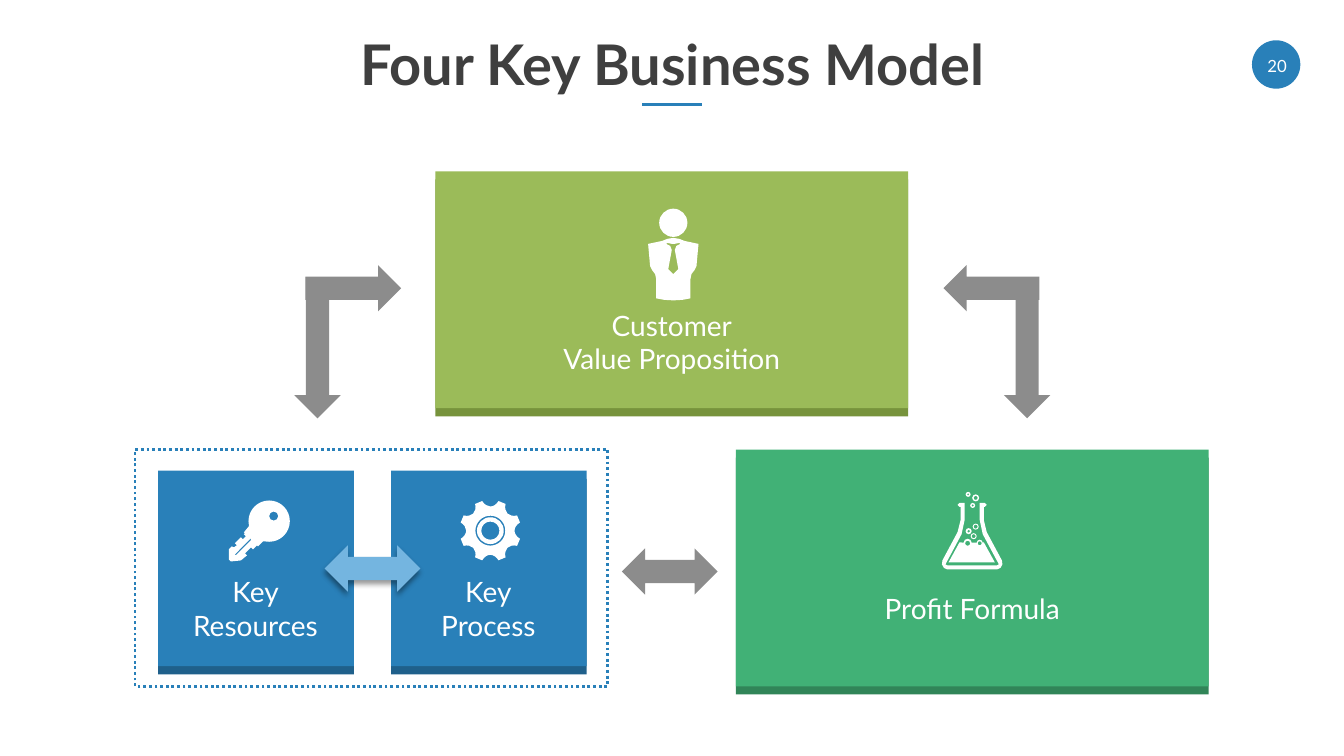
import math

import pptx
import pptx.dml.color
import pptx.enum.dml
import pptx.enum.shapes
import pptx.enum.text
import pptx.oxml.ns
import pptx.util
from lxml import etree

SHAPE = pptx.enum.shapes.MSO_SHAPE
qn = pptx.oxml.ns.qn

BLUE, GREY, WHITE = "2980B9", "8C8C8C", "FFFFFF"
FONT = "Lato"


def colour(hex_code):
    return pptx.dml.color.RGBColor.from_string(hex_code)


def cells(count):
    """Length of a number of grid columns or rows, ten to the inch."""
    return pptx.util.Inches(count / 10)


def polar(cx, cy, radius, degrees):
    angle = math.radians(degrees)
    return cx + radius * math.cos(angle), cy + radius * math.sin(angle)


def arc(cx, cy, radius, start=0, quarters=4):
    """A start point, then one curve (two controls and an end) per quarter turn."""
    turn = math.copysign(90, quarters)
    reach, lean = math.hypot(1, 0.5523) * radius, math.copysign(28.91, quarters)
    outline = [polar(cx, cy, radius, start)]
    for quarter in range(abs(quarters)):
        first = start + turn * quarter
        last = first + turn
        outline.append(polar(cx, cy, reach, first + lean) + polar(cx, cy, reach, last - lean)
                       + polar(cx, cy, radius, last))
    return outline


def mirrored(half, axis):
    """Left half of an outline, completed by its reflection."""
    return half + [(2 * axis - x, y) for x, y in reversed(half)]


class Slide:
    def __init__(self, deck):
        self.slide = deck.slides.add_slide(deck.slide_layouts[6])
        self.shapes = self.slide.shapes

    def paint(self, shape, fill):
        shape.shadow.inherit = False
        shape.fill.solid()
        shape.fill.fore_color.rgb = colour(fill)
        shape.line.fill.background()
        return shape

    def block(self, kind, x, y, w, h, fill):
        shape = self.shapes.add_shape(kind, cells(x), cells(y), cells(w), cells(h))
        return self.paint(shape, fill)

    def card(self, x, y, w, h, fill, lip):
        """Box with a darker lip showing below it."""
        self.block(SHAPE.RECTANGLE, x, y + 0.8, w, h, lip)
        self.block(SHAPE.RECTANGLE, x, y, w, h, fill)

    def dotted_frame(self, x, y, w, h):
        frame = self.block(SHAPE.RECTANGLE, x, y, w, h, WHITE)
        frame.fill.background()
        frame.line.color.rgb = colour(BLUE)
        frame.line.width = pptx.util.Pt(2)
        frame.line.dash_style = pptx.enum.dml.MSO_LINE.ROUND_DOT

    def rule(self, x1, x2, y):
        line = self.shapes.add_connector(
            pptx.enum.shapes.MSO_CONNECTOR.STRAIGHT, cells(x1), cells(y), cells(x2), cells(y))
        line.line.color.rgb = colour(BLUE)
        line.line.width = pptx.util.Pt(2)
        etree.SubElement(line._element.spPr, qn("a:effectLst"))

    def drop_shadow(self, shape):
        effects = shape._element.spPr.find(qn("a:effectLst"))
        shadow = etree.SubElement(
            effects, qn("a:outerShdw"), blurRad=str(pptx.util.Pt(4)),
            dist=str(pptx.util.Pt(3)), dir="5400000", rotWithShape="0")
        black = etree.SubElement(shadow, qn("a:srgbClr"), val="000000")
        etree.SubElement(black, qn("a:alpha"), val="40000")

    def text(self, x, y, w, h, lines, size=20, ink=WHITE, bold=False, spacing=None, middle=False):
        frame = self.shapes.add_textbox(cells(x), cells(y), cells(w), cells(h)).text_frame
        frame.word_wrap = True
        if middle:
            frame.vertical_anchor = pptx.enum.text.MSO_ANCHOR.MIDDLE
        frame.text = "\n".join(lines)
        for paragraph in frame.paragraphs:
            paragraph.alignment = pptx.enum.text.PP_ALIGN.CENTER
            paragraph.line_spacing = spacing
            paragraph.font.name = FONT
            paragraph.font.size = pptx.util.Pt(size)
            paragraph.font.bold = bold
            paragraph.font.color.rgb = colour(ink)

    def icon(self, x, y, outlines):
        """White drawing; outlines inside another one cut holes."""
        placed = [[[(v + (y if i % 2 else x)) * 100 for i, v in enumerate(step)]
                   for step in outline] for outline in outlines]
        builder = self.shapes.build_freeform(*placed[0][0], scale=cells(1) / 100)
        for number, outline in enumerate(placed):
            if number:
                builder.move_to(*outline[0])
            builder.add_line_segments([step[-2:] for step in outline[1:]], close=True)
        shape = self.paint(builder.convert_to_shape(), WHITE)
        self.bend(shape, [step for outline in placed for step in outline])

    def bend(self, shape, steps):
        """Turn the straight segments that have control points into curves."""
        points = list(shape._element.spPr.iter(qn("a:pt")))
        left = round(steps[0][0]) - int(points[0].get("x"))
        top = round(steps[0][1]) - int(points[0].get("y"))
        for point, step in zip(points, steps):
            if len(step) == 6:
                segment = point.getparent()
                segment.tag = qn("a:cubicBezTo")
                for x, y in (step[:2], step[2:4]):
                    control = etree.SubElement(
                        segment, qn("a:pt"), x=str(round(x) - left), y=str(round(y) - top))
                    point.addprevious(control)


def key_outlines():
    blade = [(2, 2.7), (1.5, 3.3), (1.6, 3.4), (1.5, 3.5), (1.7, 3.7), (1.4, 4), (1.2, 3.8),
             (0.6, 4.4), (0.8, 4.6), (0.5, 4.8), (0.3, 4.7), (0, 5), (0, 6), (0.2, 6.2),
             (1.2, 6.1), (1.8, 5.6), (1.6, 5.4), (2.2, 4.8), (2.4, 5), (2.8, 4.6),
             (2.9, 4.7), (3.4, 4.2)]
    slot = [(0.7, 5.6), (0.6, 5.5), (2.2, 3.9), (2.2, 4.1)]
    return [blade + arc(4, 2.2, 2.05, 90, -3), slot, arc(4.45, 1.7, 0.45)]


def gear_outlines():
    centre = 2.95
    rim = []
    for turn in range(0, 360, 45):
        notch = [polar(centre, centre, r, turn + a) for a, r in
                 ((-15.4, 3.05), (-13, 2.67), (-7.1, 2.42), (0, 2.4),
                  (7.1, 2.42), (13, 2.67), (15.4, 3.05))]
        rim += [notch[0], sum(notch[1:4], ()), sum(notch[4:], ())]
    return [rim] + [arc(centre, centre, r) for r in (1.48, 1.33, 0.9)]


def customer_outlines():
    body = [(2.5, 2.9), (1.9, 3), (1.4, 3.2), (0, 3.5), (0.2, 5.7), (0.4, 6.1),
            (0.7, 6.5), (0.8, 7), (0.8, 8.9), (1.6, 9.05), (2.5, 9.1)]
    tie = [(2.4, 3.5), (1.9, 3.4), (1.8, 3.5), (2.2, 3.7), (2.35, 4.1), (2, 6), (2.5, 6.5)]
    return [mirrored(body, 2.5), mirrored(tie, 2.5), arc(2.5, 1.4, 1.4)]


def flask_outlines():
    glass = [(3.05, 7.7), (0.6, 7.7), (0.25, 7.55), (0.05, 7.2), (0.1, 6.8), (1.6, 4),
             (1.9, 2.8), (1.9, 1.5), (1.8, 1.5), (1.6, 1.3), (1.8, 1.1), (2.3, 1.1),
             (2.3, 2.8), (2, 4.2), (0.5, 7), (0.4, 7.2), (0.6, 7.3), (3.05, 7.3)]
    liquid = ([(0.7, 7), (1.8, 5)] + arc(2.6, 5.05, 0.4, 180, 2)
              + arc(3.8, 5.05, 0.3, 180, 2) + [(4.2, 5), (5.3, 7)])
    bubbles = [(3.2, 4.4, 0.3, 0.2), (3.4, 3.45, 0.3, 0.2), (2.7, 3.9, 0.3, 0.15),
               (3.4, 0.6, 0.35, 0.2), (2.65, 0.25, 0.25, 0.12), (3.1, 1.35, 0.25, 0.13)]
    rings = [arc(x, y, r) for x, y, *radii in bubbles for r in radii]
    return [mirrored(glass, 3.05), liquid, arc(2.6, 5.1, 0.25), arc(3.8, 5.1, 0.2)] + rings


def main():
    deck = pptx.Presentation()
    deck.slide_width, deck.slide_height = cells(133.33), cells(75)
    page = Slide(deck)

    page.block(SHAPE.OVAL, 124.2, 4, 4.8, 4.8, BLUE)
    page.rule(63.7, 69.6, 10.4)
    page.text(9.2, 2, 115, 9.4, ["Four Key Business Model"], size=40, ink="3F3F3F",
              bold=True, spacing=0.9, middle=True)

    wide, tall, small = 46.9, 23.5, 19.4
    page.dotted_frame(13.4, 44.6, wide, tall)
    for left in (15.7, 38.8):
        page.card(left, 46.7, small, small, BLUE, "1F608B")
    page.card(73, 44.6, wide, tall, "41B176", "318558")
    page.card(43.2, 17, wide, tall, "9BBB59", "77933C")

    for left, name in ((15.8, "Resources"), (38.9, "Process")):
        page.text(left, 56.5, 19.1, 7.7, ["Key", name])

    length, thick, drop = 9.5, 4.6, 14
    link = page.block(SHAPE.LEFT_RIGHT_ARROW, 32.2, 54.1, length, thick, "74B5E0")
    page.drop_shadow(link)
    page.block(SHAPE.LEFT_RIGHT_ARROW, 61.7, 54.4, length, thick, GREY)
    for side, across, down in ((SHAPE.RIGHT_ARROW, 30.3, 29.2), (SHAPE.LEFT_ARROW, 93.6, 99.6)):
        page.block(side, across, 26.3, length, thick, GREY)
        page.block(SHAPE.DOWN_ARROW, down, 27.5, thick, drop, GREY)

    page.text(84.4, 58.2, 24.1, 4.4, ["Profit Formula"])
    page.text(52.8, 30.1, 27.7, 7.7, ["Customer", "Value Proposition"])

    page.icon(22.7, 49.5, key_outlines())
    page.icon(45.7, 49.7, gear_outlines())
    page.icon(64.3, 20.7, customer_outlines())
    page.icon(93.4, 48.8, flask_outlines())
    page.text(123.2, 4.5, 7, 4, ["20"], size=12, middle=True)

    deck.save("out.pptx")


if __name__ == "__main__":
    main()
